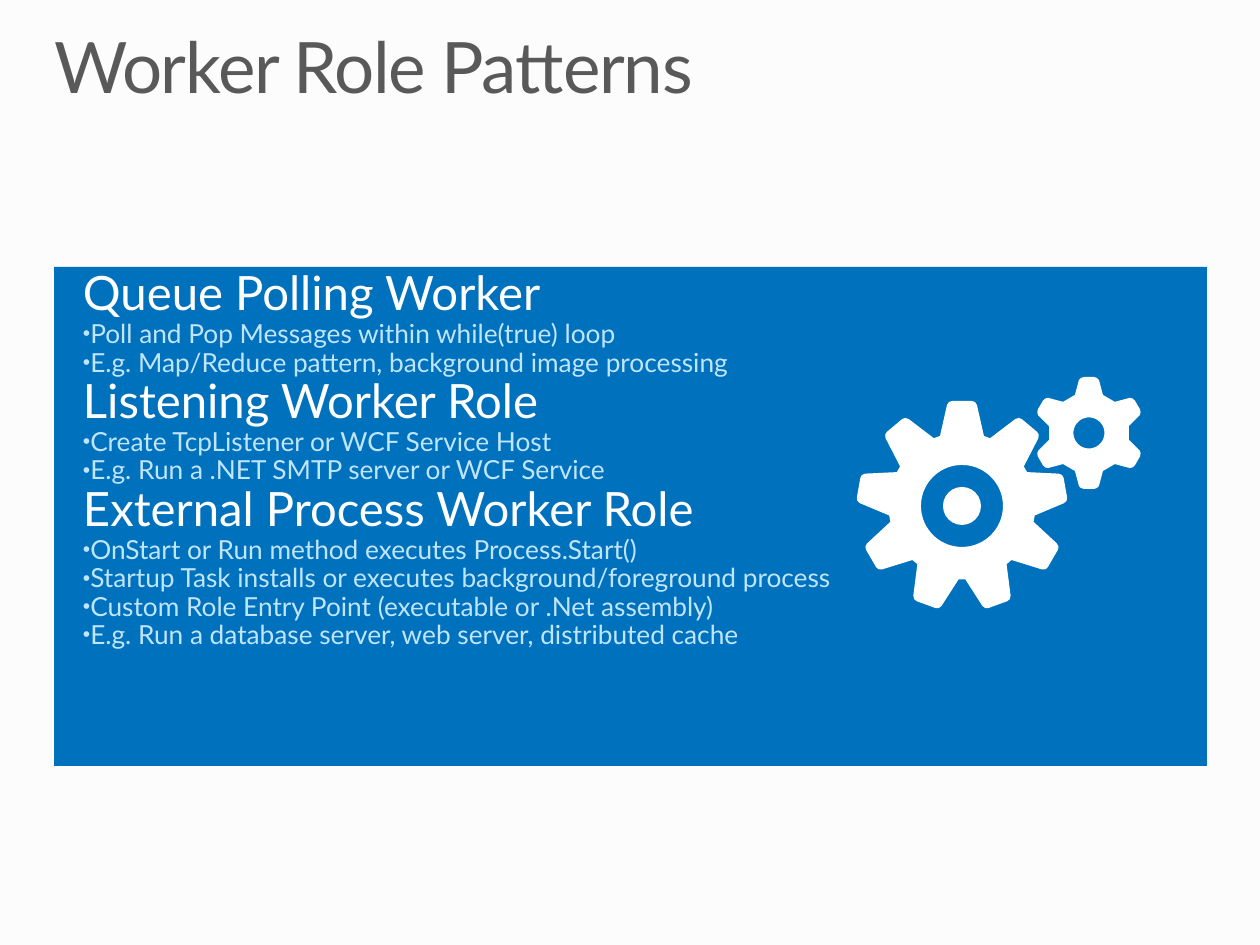
import math
from lxml import etree
from pptx import Presentation
from pptx.dml.color import RGBColor
from pptx.enum.shapes import MSO_SHAPE
from pptx.enum.text import MSO_ANCHOR, MSO_AUTO_SIZE, PP_ALIGN
from pptx.oxml.ns import qn
from pptx.util import Pt

RECTANGLE, OVAL = MSO_SHAPE.RECTANGLE, MSO_SHAPE.OVAL
TOP, LEFT, GROW = MSO_ANCHOR.TOP, PP_ALIGN.LEFT, MSO_AUTO_SIZE.SHAPE_TO_FIT_TEXT
SCALE = 914400 / 126
FONT = "Lato"
WHITE, BLUE, PALE_BLUE, GRAY, PAPER = "FFFFFF", "0071BC", "BFE5FF", "595959", "FCFCFC"

PATTERNS = [
    ("Queue Polling Worker", [
        "Poll and Pop Messages within while(true) loop",
        "E.g. Map/Reduce pattern, background image processing",
    ]),
    ("Listening Worker Role", [
        "Create TcpListener or WCF Service Host",
        "E.g. Run a .NET SMTP server or WCF Service",
    ]),
    ("External Process Worker Role", [
        "OnStart or Run method executes Process.Start()",
        "Startup Task installs or executes background/foreground process",
        "Custom Role Entry Point (executable or .Net assembly)",
        "E.g. Run a database server, web server, distributed cache",
    ]),
]
LARGE_TOOTH = [(22, 70), (15, 101), (13, 104), (10, 105)]
SMALL_TOOTH = [(14, 38), (10, 53), (8, 55), (5, 56)]


def px(value):
    return round(value * SCALE)


def set_fill(fill, color):
    fill.solid()
    fill.fore_color.rgb = RGBColor.from_string(color)


def finish_shape(shape, color):
    set_fill(shape.fill, color)
    shape.line.fill.background()
    shape.shadow.inherit = False


def add_shape(shapes, kind, left, top, width, height, color):
    shape = shapes.add_shape(kind, px(left), px(top), px(width), px(height))
    finish_shape(shape, color)


def prepare_frame(frame):
    frame.margin_left = frame.margin_top = frame.margin_right = frame.margin_bottom = 0
    frame.word_wrap = True
    frame.auto_size = GROW
    frame.vertical_anchor = TOP


def format_para(para, size, color):
    para.alignment = LEFT
    para.line_spacing = 0.9
    for span in para.runs:
        span.font.name = FONT
        span.font.size = Pt(size)
        span.font.color.rgb = RGBColor.from_string(color)


def add_bullet(para):
    para.level = 1
    properties = para._p.get_or_add_pPr()
    properties.set("marL", "0")
    properties.set("indent", str(-px(35)))
    etree.SubElement(properties, qn("a:buSzPct")).set("val", "80000")
    etree.SubElement(properties, qn("a:buFont")).set("typeface", "Arial")
    etree.SubElement(properties, qn("a:buChar")).set("char", "•")


def add_title(slide, text):
    title = slide.shapes.title
    title.left, title.top, title.width, title.height = px(54), px(32), px(1153), px(77)
    frame = title.text_frame
    frame.text = text
    prepare_frame(frame)
    para = frame.paragraphs[0]
    format_para(para, 40.5, GRAY)
    para.runs[0].font._element.set("spc", "-80")


def add_patterns(slide):
    box = slide.shapes.add_textbox(px(83), px(270), px(1153), px(383))
    frame = box.text_frame
    prepare_frame(frame)
    lines = [line for heading, details in PATTERNS for line in [heading, *details]]
    headings = [heading for heading, details in PATTERNS]
    frame.text = "\n".join(lines)
    for para in frame.paragraphs:
        if para.text in headings:
            format_para(para, 27, WHITE)
        else:
            add_bullet(para)
            format_para(para, 15, PALE_BLUE)


def gear_outline(center_x, center_y, teeth, profile):
    tooth = [(-x, -y) for x, y in profile] + [(x, -y) for x, y in reversed(profile)]
    points = []
    for index in range(teeth):
        turn = math.tau * index / teeth
        for x, y in tooth:
            points.append((px(center_x + x * math.cos(turn) - y * math.sin(turn)),
                           px(center_y + x * math.sin(turn) + y * math.cos(turn))))
    return points


def circle_outline(center_x, center_y, radius, steps=72):
    angles = [-math.tau * step / steps for step in range(steps)]
    return [(px(center_x + radius * math.cos(angle)), px(center_y + radius * math.sin(angle)))
            for angle in angles]


def add_gear(shapes, center_x, center_y, teeth, profile, hole):
    outline = gear_outline(center_x, center_y, teeth, profile)
    opening = circle_outline(center_x, center_y, hole)
    builder = shapes.build_freeform(*outline[0])
    builder.add_line_segments(outline[1:], close=True)
    builder.move_to(*opening[0])
    builder.add_line_segments(opening[1:], close=True)
    finish_shape(builder.convert_to_shape(), WHITE)


def main():
    deck = Presentation()
    deck.slide_width, deck.slide_height = px(1260), px(945)
    slide = deck.slides.add_slide(deck.slide_layouts[5])
    set_fill(slide.background.fill, PAPER)
    add_shape(slide.shapes, RECTANGLE, 54, 267, 1153, 499, BLUE)
    add_title(slide, "Worker Role Patterns")
    add_patterns(slide)
    gears = slide.shapes.add_group_shape().shapes
    add_gear(gears, 962, 506, 9, LARGE_TOOTH, 41)
    add_shape(gears, OVAL, 943, 487, 38, 38, WHITE)
    add_gear(gears, 1089, 433, 6, SMALL_TOOTH, 15.5)
    deck.save("out.pptx")


if __name__ == "__main__":
    main()
